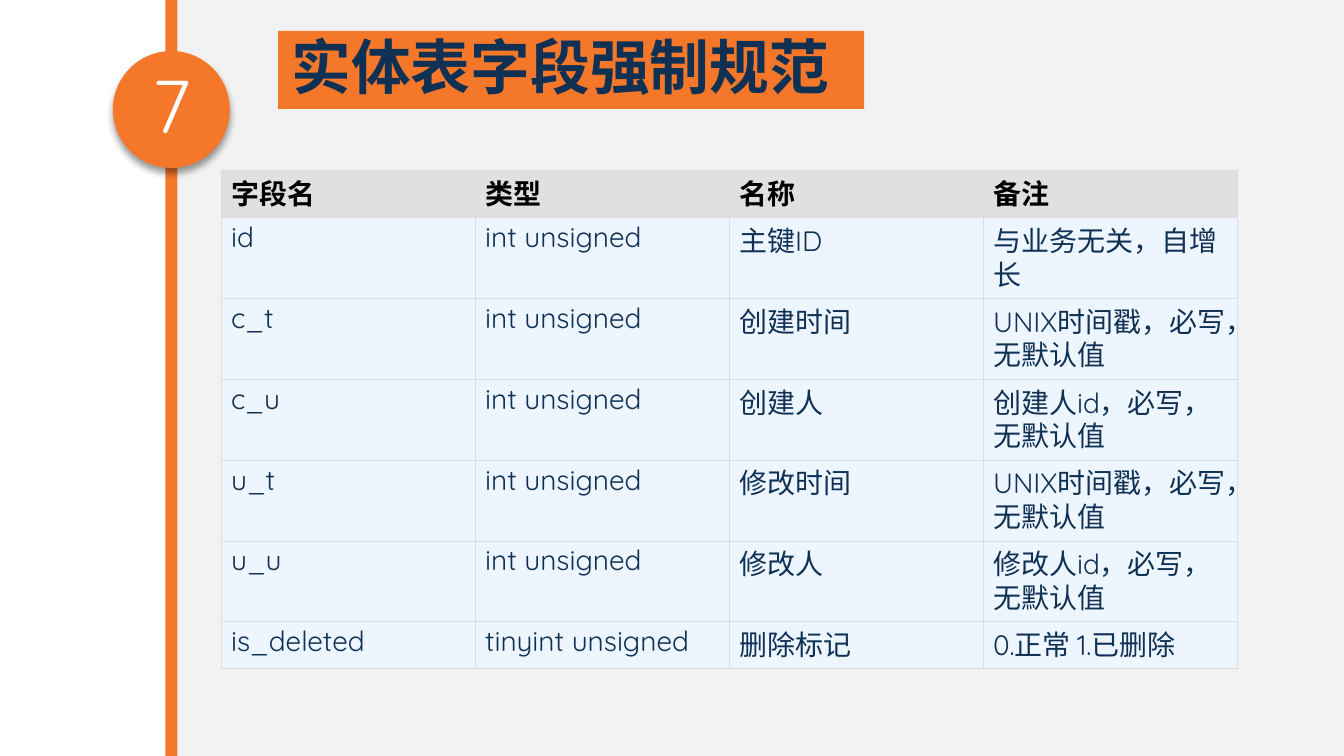
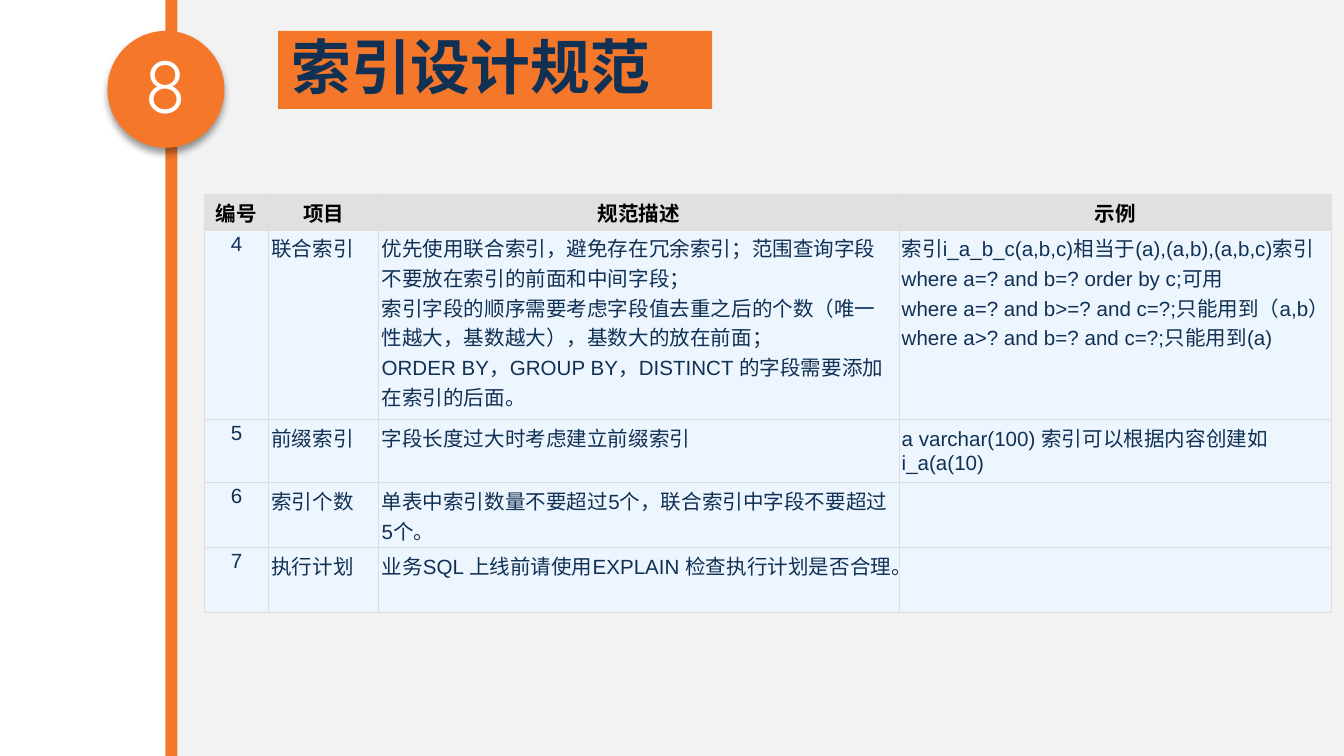
from lxml import etree
from pptx import Presentation
from pptx.dml.color import RGBColor
from pptx.enum.shapes import MSO_SHAPE
from pptx.enum.text import MSO_ANCHOR, PP_ALIGN
from pptx.oxml import parse_xml
from pptx.oxml.ns import nsdecls, qn
from pptx.util import Inches, Pt

RECT, OVAL = MSO_SHAPE.RECTANGLE, MSO_SHAPE.OVAL
TOP, MIDDLE = MSO_ANCHOR.TOP, MSO_ANCHOR.MIDDLE
LEFT, CENTER = PP_ALIGN.LEFT, PP_ALIGN.CENTER

ORANGE = RGBColor(0xF4, 0x77, 0x2A)
NAVY = RGBColor(0x10, 0x31, 0x54)
PANEL = RGBColor(0xF2, 0xF2, 0xF2)
HEADER = RGBColor(0xE0, 0xE0, 0xE0)
BODY = RGBColor(0xED, 0xF5, 0xFF)
GRID = RGBColor(0xDD, 0xDD, 0xDD)
WHITE = RGBColor(0xFF, 0xFF, 0xFF)
BLACK = RGBColor(0, 0, 0)

QUICKSAND, ARIAL = "Quicksand", "Arial"
SLIDE_W = 10
SLIDE_H = SLIDE_W * 9 / 16
PANEL_X = 1.32
BADGE_SIZE = 0.87

FIELD_ROWS = [
    ["字段名", "类型", "名称", "备注"],
    ["id", "int unsigned", "主键ID", "与业务无关，自增长"],
    ["c_t", "int unsigned", "创建时间", "UNIX时间戳，必写，无默认值"],
    ["c_u", "int unsigned", "创建人", "创建人id，必写，无默认值"],
    ["u_t", "int unsigned", "修改时间", "UNIX时间戳，必写，无默认值"],
    ["u_u", "int unsigned", "修改人", "修改人id，必写，无默认值"],
    ["is_deleted", "tinyint unsigned", "删除标记", "0.正常 1.已删除"],
]

INDEX_ROWS = [
    ["编号", "项目", "规范描述", "示例"],
    ["4", "联合索引",
     "优先使用联合索引，避免存在冗余索引；范围查询字段不要放在索引的前面和中间字段；\n"
     "索引字段的顺序需要考虑字段值去重之后的个数（唯一性越大，基数越大），基数大的放在前面；\n"
     "ORDER BY，GROUP BY，DISTINCT 的字段需要添加在索引的后面。",
     "索引i_a_b_c(a,b,c)相当于(a),(a,b),(a,b,c)索引\n"
     "where a=? and b=? order by c;可用\n"
     "where a=? and b>=? and c=?;只能用到（a,b）\n"
     "where a>? and b=? and c=?;只能用到(a)"],
    ["5", "前缀索引", "字段长度过大时考虑建立前缀索引",
     "a varchar(100) 索引可以根据内容创建如i_a(a(10)"],
    ["6", "索引个数", "单表中索引数量不要超过5个，联合索引中字段不要超过5个。", ""],
    ["7", "执行计划", "业务SQL 上线前请使用EXPLAIN 检查执行计划是否合理。", ""],
]


def add_text(tf, text, font, size, color, bold=False, align=LEFT, spacing=None):
    for i, line in enumerate(text.split("\n")):
        p = tf.paragraphs[0] if i == 0 else tf.add_paragraph()
        p.alignment = align
        if spacing:
            p.line_spacing = spacing
        r = p.add_run()
        r.text = line
        r.font.name, r.font.size, r.font.bold = font, Pt(size), bold
        r.font.color.rgb = color


def add_block(s, kind, x, y, w, h, color):
    sp = s.shapes.add_shape(kind, Inches(x), Inches(y), Inches(w), Inches(h))
    sp.shadow.inherit = False
    sp.fill.solid()
    sp.fill.fore_color.rgb = color
    sp.line.fill.background()
    return sp


def add_drop_shadow(sp):
    effects = sp._element.spPr.find(qn("a:effectLst"))
    shadow = etree.SubElement(effects, qn("a:outerShdw"), blurRad=str(Pt(4)),
                              dist=str(Pt(3)), dir="5400000", rotWithShape="0")
    color = etree.SubElement(shadow, qn("a:srgbClr"), val=str(BLACK))
    etree.SubElement(color, qn("a:alpha"), val="40000")


def add_frame(s, number, badge_x, badge_y, title, title_w):
    add_block(s, RECT, PANEL_X, 0, SLIDE_W - PANEL_X, SLIDE_H, PANEL)
    add_block(s, RECT, 1.23, 0, 0.09, SLIDE_H, ORANGE)

    badge = add_block(s, OVAL, badge_x, badge_y, BADGE_SIZE, BADGE_SIZE, ORANGE)
    add_drop_shadow(badge)
    badge.text_frame.vertical_anchor = MIDDLE
    add_text(badge.text_frame, number, QUICKSAND, 40, WHITE, align=CENTER, spacing=0.9)

    band = add_block(s, RECT, 2.07, 0.23, title_w, 0.58, ORANGE)
    tf = band.text_frame
    tf.word_wrap = True
    tf.vertical_anchor = TOP
    add_text(tf, title, QUICKSAND, 32, NAVY, bold=True, spacing=0.9)


def set_borders(cell):
    tcPr = cell._tc.get_or_add_tcPr()
    for i, side in enumerate(("lnL", "lnR", "lnT", "lnB")):
        tcPr.insert(i, parse_xml(
            f'<a:{side} {nsdecls("a")} w="{Pt(0.6)}"><a:solidFill>'
            f'<a:srgbClr val="{GRID}"/></a:solidFill></a:{side}>'))


def add_grid(s, x, y, col_widths, row_heights, rows, font, size, margins,
             header_align=LEFT, centered_cols=(), spacing=None):
    table = s.shapes.add_table(
        len(rows), len(col_widths), Inches(x), Inches(y),
        Inches(sum(col_widths)), Inches(sum(row_heights))).table
    table.horz_banding = False
    for col, width in zip(table.columns, col_widths):
        col.width = Inches(width)
    for row, height in zip(table.rows, row_heights):
        row.height = Inches(height)
    margin_x, margin_y = (Inches(m) for m in margins)
    for i, texts in enumerate(rows):
        is_header = i == 0
        for j, text in enumerate(texts):
            cell = table.cell(i, j)
            cell.margin_left = cell.margin_right = margin_x
            cell.margin_top = cell.margin_bottom = margin_y
            cell.fill.solid()
            cell.fill.fore_color.rgb = HEADER if is_header else BODY
            set_borders(cell)
            if text:
                align = header_align if is_header else CENTER if j in centered_cols else LEFT
                add_text(cell.text_frame, text, font, size,
                         BLACK if is_header else NAVY, is_header, align, spacing)


def main():
    prs = Presentation()
    prs.slide_width, prs.slide_height = Inches(SLIDE_W), Inches(SLIDE_H)
    blank = prs.slide_layouts[6]

    s = prs.slides.add_slide(blank)
    add_frame(s, "7", 0.84, 0.38, "实体表字段强制规范", 4.36)
    add_grid(s, 1.65, 1.27, [1.89] * 4, [0.35] + [0.6] * 5 + [0.35],
             FIELD_ROWS, QUICKSAND, 15, (0.07, 0.05), spacing=0.83)

    s = prs.slides.add_slide(blank)
    add_frame(s, "8", 0.8, 0.23, "索引设计规范", 3.23)
    add_grid(s, 1.52, 1.45, [0.48, 0.82, 3.87, 3.22], [0.26, 1.41] + [0.47] * 3,
             INDEX_ROWS, ARIAL, 11, (0.02, 0.02), CENTER, centered_cols=(0,))

    prs.save("out.pptx")


if __name__ == "__main__":
    main()
